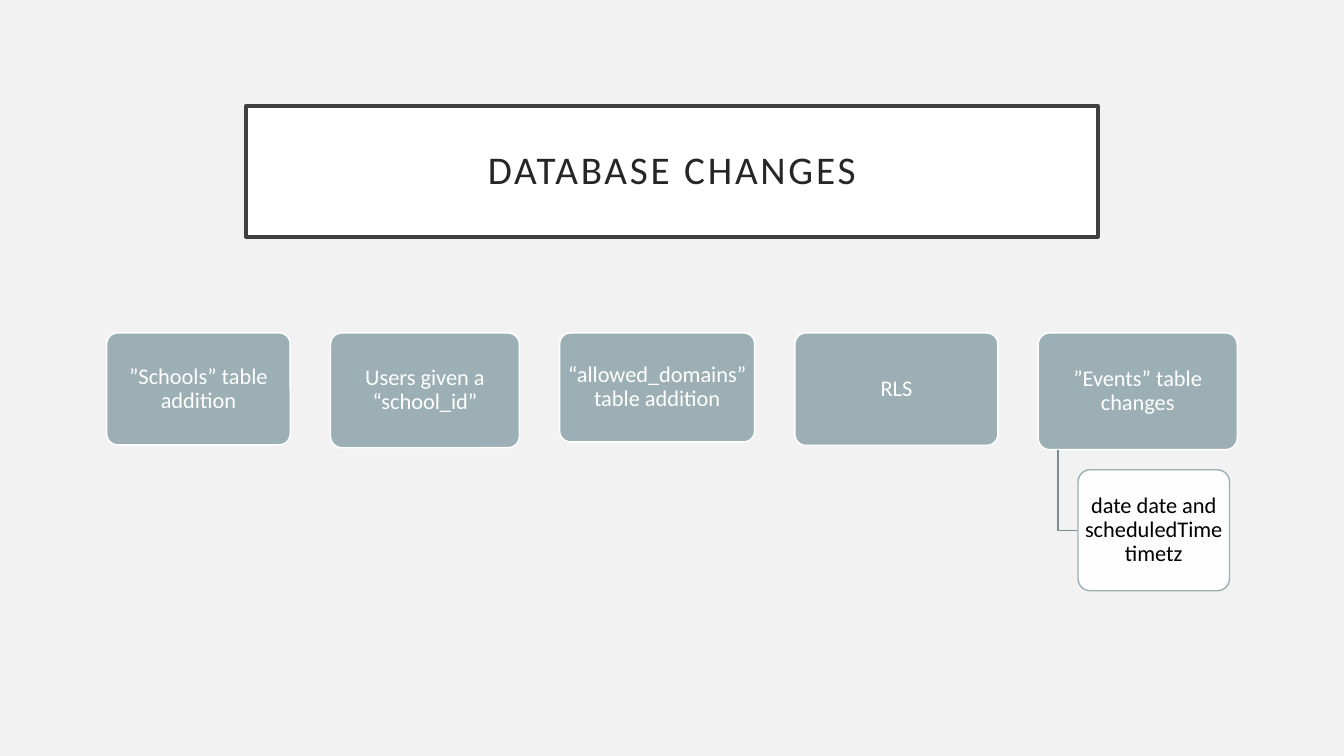
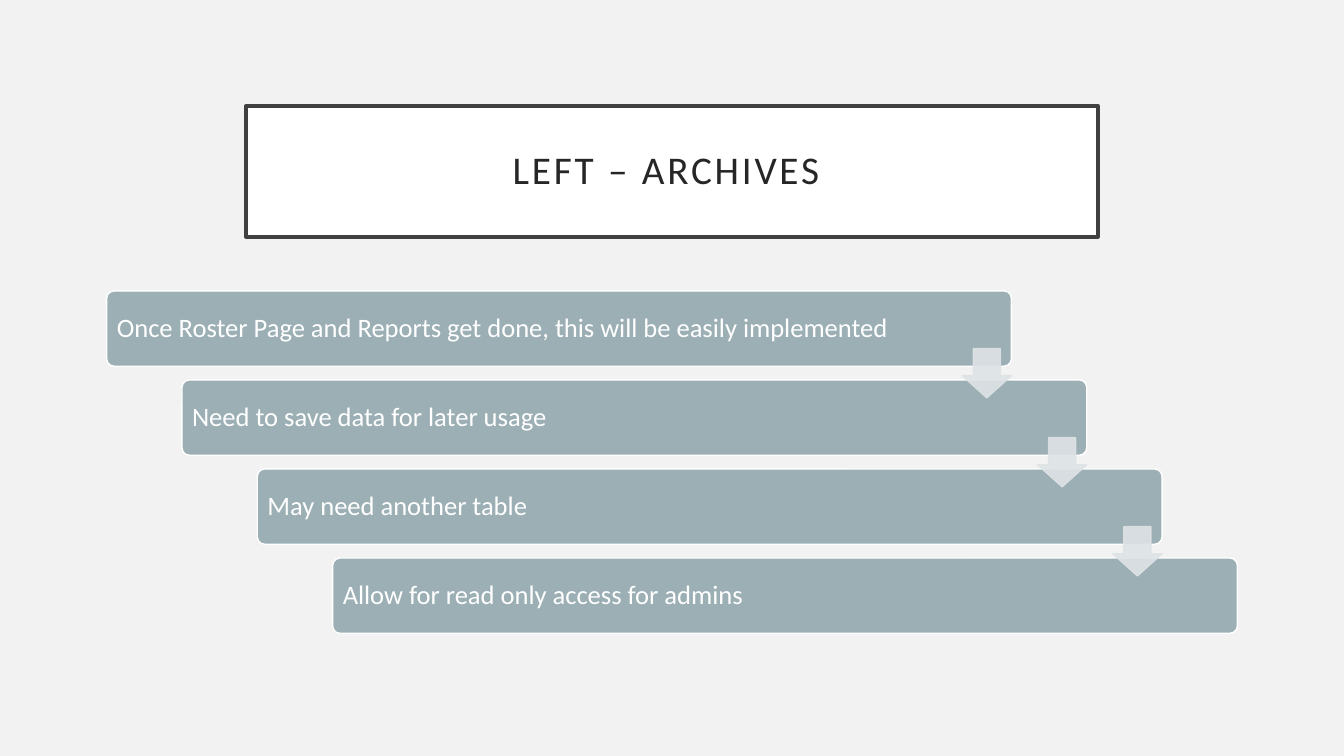
from pptx import Presentation
from pptx.dml.color import RGBColor
from pptx.enum.shapes import MSO_SHAPE
from pptx.enum.text import MSO_ANCHOR, MSO_AUTO_SIZE, PP_ALIGN
from pptx.oxml.ns import qn
from pptx.util import Pt

HUES = {
    "page": "F2F2F2", "white": "FFFFFF", "frame": "404040", "ink": "262626",
    "slate": "9BAFB5", "rule": "7C8C91", "arrow": "DEE3E5", "black": "000000",
}
FONT = "Calibri"

CHANGES = [
    ("”Schools” table addition", 131.1, 80),
    ("Users given a “school_id”", 134.9, 82),
    ("“allowed_domains” table addition", 139.2, 77.8),
    ("RLS", 145, 80.4),
    ("”Events” table changes", 142.2, 83.4),
]
DETAIL = "date date and scheduledTime timetz"
STEPS = [
    "Once Roster Page and Reports get done, this will be easily implemented",
    "Need to save data for later usage",
    "May need another table",
    "Allow for read only access for admins",
]
LEFT = 76.2


def hue(name):
    return RGBColor.from_string(HUES[name])


def write(shape, text, size=16, color="white", align=PP_ALIGN.CENTER,
          pad=(2.2, 1.5), track=0):
    frame = shape.text_frame
    frame.word_wrap = True
    frame.auto_size = MSO_AUTO_SIZE.NONE
    frame.vertical_anchor = MSO_ANCHOR.MIDDLE
    frame.margin_left = frame.margin_right = Pt(pad[0])
    frame.margin_top = frame.margin_bottom = Pt(pad[1])
    para = frame.paragraphs[0]
    para.alignment = align
    para.line_spacing = 0.9
    run = para.add_run()
    run.text = text
    run.font.name = FONT
    run.font.size = Pt(size)
    run.font.color.rgb = hue(color)
    if track:
        run.font._element.set("spc", str(track * 100))


def paint(shape, fill, line, width=1):
    shape.fill.solid()
    shape.fill.fore_color.rgb = hue(fill)
    shape.line.color.rgb = hue(line)
    shape.line.width = Pt(width)


def fade(shape, *parts):
    for part in parts:
        for color in shape._element.spPr.xpath(part + "/a:srgbClr"):
            alpha = color.makeelement(qn("a:alpha"), {"val": "90000"})
            color.append(alpha)


def draw(slide, kind, area, adjust, fill="slate", line="white"):
    shape = slide.shapes.add_shape(kind, *map(Pt, area))
    shape.shadow.inherit = False
    for index, value in enumerate(adjust):
        shape.adjustments[index] = value
    paint(shape, fill, line)
    return shape


def box(slide, area, **look):
    return draw(slide, MSO_SHAPE.ROUNDED_RECTANGLE, area, [0.1], **look)


def start(deck, text):
    slide = deck.slides.add_slide(deck.slide_layouts[5])
    title = slide.shapes.title
    title.left, title.top = Pt(175.7), Pt(75.6)
    title.width, title.height = Pt(608.5), Pt(93.6)
    paint(title, "white", "frame", 2.5)
    write(title, text, size=28, color="ink", pad=(14.4, 14.4), track=2)
    return slide


def changes(deck):
    slide = start(deck, "DATABASE CHANGES")
    left, top, gap = LEFT, 237.8, 28.8
    for text, wide, high in CHANGES:
        write(box(slide, (left, top, wide, high)), text)
        left += wide + gap
    left -= wide + gap
    base, inset, drop = top + high, wide / 10, 57.6
    stem, edge = left + inset, left + 2 * inset
    elbow = slide.shapes.build_freeform(Pt(stem), Pt(base))
    elbow.add_line_segments(
        [(Pt(stem), Pt(base + drop)), (Pt(edge), Pt(base + drop))], close=False)
    branch = elbow.convert_to_shape()
    branch.shadow.inherit = False
    branch.fill.background()
    branch.line.color.rgb = hue("rule")
    branch.line.width = Pt(1)
    high = 86.4
    child = box(slide, (edge, base + drop - high / 2, 108.2, high), line="slate")
    paint(child, "white", "slate")
    fade(child, "./a:solidFill")
    write(child, DETAIL, color="black")


def archives(deck):
    slide = start(deck, "LEFT – ARCHIVES ")
    wide, high, size = 646.3, 53.8, 35.2
    spots = [(LEFT + 53.8 * i, 207.8 + 63.6 * i) for i in range(len(STEPS))]
    for text, (left, top) in zip(STEPS, spots):
        step = box(slide, (left, top, wide, high))
        write(step, text, size=19, align=PP_ALIGN.LEFT, pad=(5.7, 5.7))
    for left, top in spots[:-1]:
        area = (left + wide - size, top + 41.2, size, size)
        arrow = draw(slide, MSO_SHAPE.DOWN_ARROW, area, [0.55, 0.45],
                     fill="arrow", line="arrow")
        fade(arrow, "./a:solidFill", "./a:ln/a:solidFill")


def main():
    deck = Presentation()
    deck.slide_width, deck.slide_height = Pt(960), Pt(540)
    back = deck.slide_master.background.fill
    back.solid()
    back.fore_color.rgb = hue("page")
    changes(deck)
    archives(deck)
    deck.save("out.pptx")


if __name__ == "__main__":
    main()
